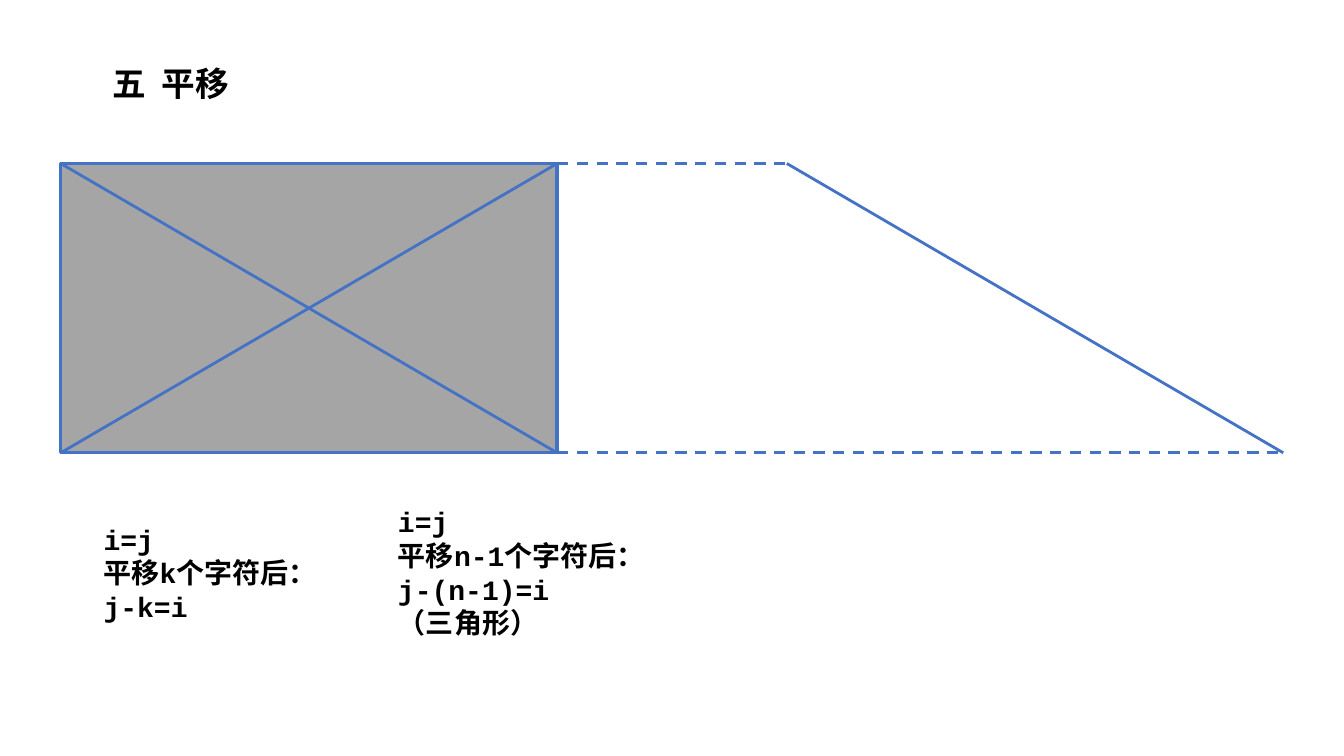
"""Builds a slide on shifting a rectangle into a trapezoid."""
from lxml import etree
from pptx import Presentation
from pptx.dml.color import RGBColor
from pptx.enum.dml import MSO_LINE
from pptx.enum.shapes import MSO_CONNECTOR, MSO_SHAPE
from pptx.enum.text import MSO_AUTO_SIZE
from pptx.oxml.ns import qn
from pptx.util import Cm, Pt

RECT = MSO_SHAPE.RECTANGLE
STRAIGHT = MSO_CONNECTOR.STRAIGHT
DASH = MSO_LINE.DASH
GROW = MSO_AUTO_SIZE.SHAPE_TO_FIT_TEXT


def rgb(color):
    return RGBColor.from_string(color)


class Board:
    blue, gray, black = "4472C4", "A5A5A5", "000000"
    cjk, mono = "Noto Sans CJK SC", "Courier New"

    def __init__(self, prs):
        self.s = prs.slides.add_slide(prs.slide_layouts[6])

    def text(self, x, y, w, h, lines, size, font):
        sp = self.s.shapes.add_textbox(Cm(x), Cm(y), Cm(w), Cm(h))
        tf = sp.text_frame
        tf.word_wrap = True
        tf.auto_size = GROW
        tf.text = "\n".join(lines)
        for p in tf.paragraphs:
            for r in p.runs:
                r.font.size = Pt(size)
                r.font.bold = True
                r.font.color.rgb = rgb(self.black)
                r.font.name = font
                ea = etree.SubElement(r.font._element, qn("a:ea"))
                ea.set("typeface", self.cjk)

    def rect(self, x, y, w, h):
        sp = self.s.shapes.add_shape(RECT, Cm(x), Cm(y), Cm(w), Cm(h))
        sp.shadow.inherit = False
        sp.fill.solid()
        sp.fill.fore_color.rgb = rgb(self.gray)
        sp.line.color.rgb = rgb(self.blue)
        sp.line.width = Pt(2.25)

    def line(self, x1, y1, x2, y2, dash=None):
        cx = self.s.shapes.add_connector(STRAIGHT, Cm(x1), Cm(y1), Cm(x2), Cm(y2))
        cx.line.color.rgb = rgb(self.blue)
        cx.line.width = Pt(2)
        if dash:
            cx.line.dash_style = dash
        etree.SubElement(cx._element.spPr, qn("a:effectLst"))


def main():
    prs = Presentation()
    prs.slide_width, prs.slide_height = Cm(33.87), Cm(19.05)
    board = Board(prs)

    left, top, width, height = 1.53, 4.12, 12.51, 7.29
    right, bottom = left + width, top + height
    slope_top = 19.83
    slope_end = slope_top + width

    board.text(2.59, 1.45, 5.69, 1.27, ["五  平移"], 24, board.cjk)
    board.rect(left, top, width, height)
    board.line(left, top, right, bottom)
    board.line(left, bottom, right, top)
    board.line(slope_top, top, slope_end, bottom)
    board.line(right, top, slope_top, top, DASH)
    board.line(right, bottom, slope_end, bottom, DASH)

    board.text(2.36, 13.03, 7.9, 2.82,
               ["i=j", "平移k个字符后：", "j-k=i"], 20, board.mono)
    board.text(9.78, 12.6, 7.9, 3.68,
               ["i=j", "平移n-1个字符后：", "j-(n-1)=i", "（三角形）"], 20, board.mono)

    prs.save("out.pptx")


if __name__ == "__main__":
    main()
